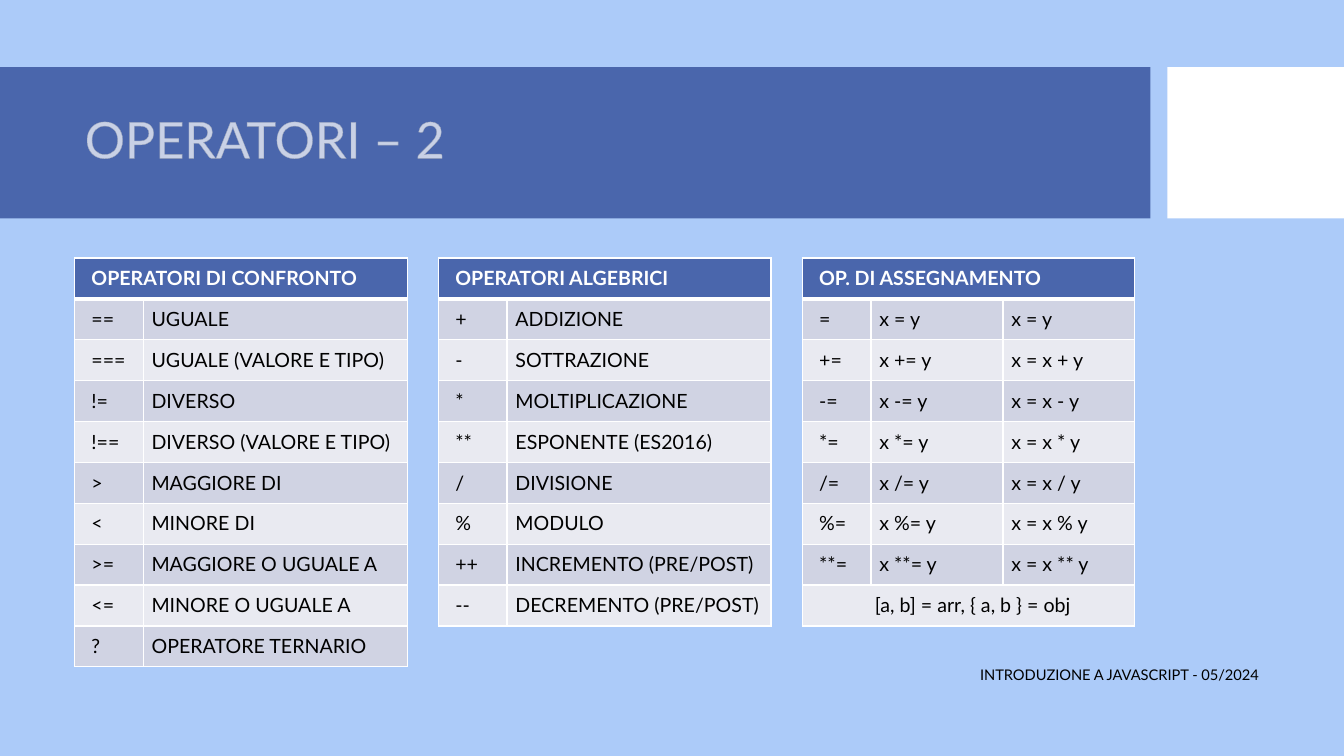
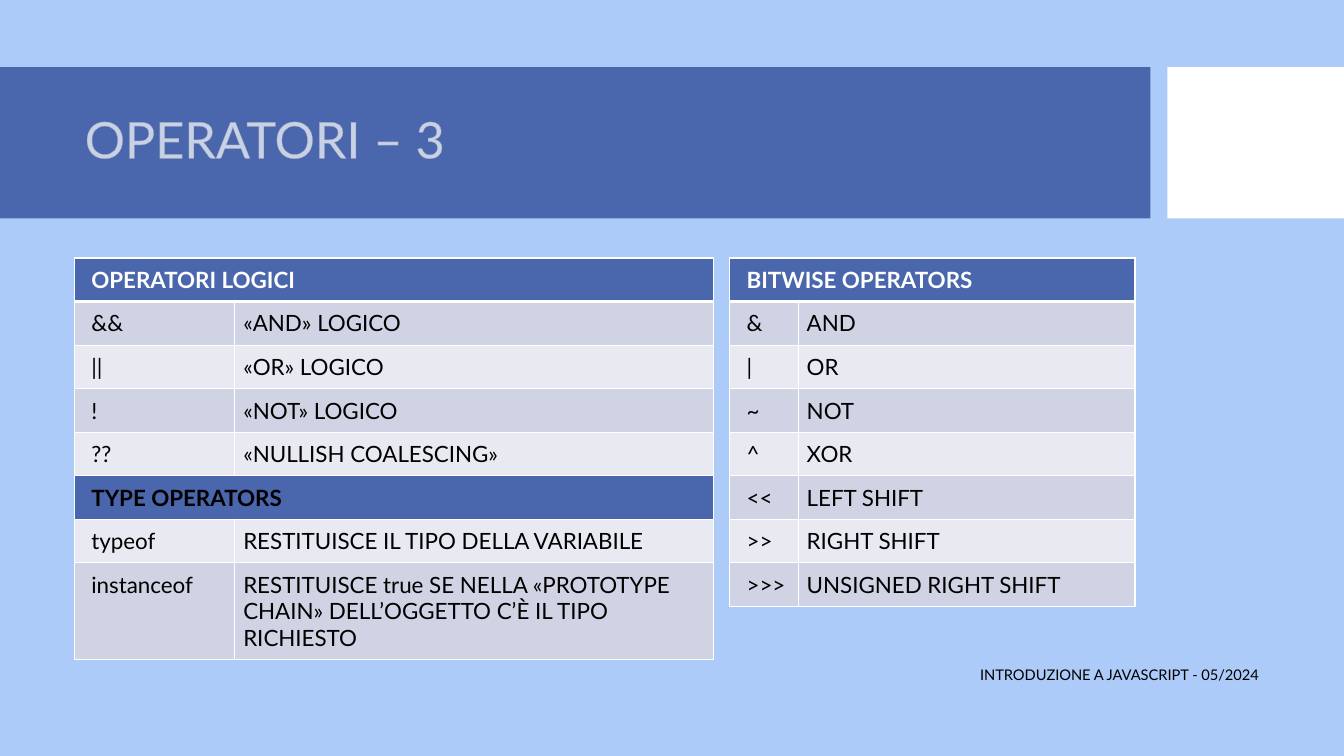
from lxml import etree
from pptx import Presentation
from pptx.dml.color import RGBColor
from pptx.enum.shapes import MSO_SHAPE
from pptx.enum.text import MSO_ANCHOR, PP_ALIGN
from pptx.oxml import parse_xml
from pptx.oxml.ns import nsdecls, qn
from pptx.util import Pt

COLORS = {
    "background": "ACCBF9",
    "band": "4A66AC",
    "dark_row": "D0D3E3",
    "light_row": "E9EAF1",
    "outline": "BFBFBF",
    "white": "FFFFFF",
    "black": "000000",
}
FONT = "Lato"
LEFT = 53.3
TABLE_TOP = 184.3
FOOTER = "INTRODUZIONE A JAVASCRIPT - 05/2024"

SLIDES = [
    {
        "title": "OPERATORI – 2",
        "size": 14,
        "row_height": 29.2,
        "tables": [
            (LEFT, [49, 188.6], [
                ("OPERATORI DI CONFRONTO",),
                ("==", "UGUALE"),
                ("===", "UGUALE (VALORE E TIPO)"),
                ("!=", "DIVERSO"),
                ("!==", "DIVERSO (VALORE E TIPO)"),
                (">", "MAGGIORE DI"),
                ("<", "MINORE DI"),
                (">=", "MAGGIORE O UGUALE A"),
                ("<=", "MINORE O UGUALE A"),
                ("?", "OPERATORE TERNARIO"),
            ]),
            (313.2, [49, 188.6], [
                ("OPERATORI ALGEBRICI",),
                ("+", "ADDIZIONE"),
                ("-", "SOTTRAZIONE"),
                ("*", "MOLTIPLICAZIONE"),
                ("**", "ESPONENTE (ES2016)"),
                ("/", "DIVISIONE"),
                ("%", "MODULO"),
                ("++", "INCREMENTO (PRE/POST)"),
                ("--", "DECREMENTO (PRE/POST)"),
            ]),
            (573.1, [49, 94.3, 94.3], [
                ("OP. DI ASSEGNAMENTO",),
                ("=", "x = y", "x = y"),
                *[(f"{op}=", f"x {op}= y", f"x = x {op} y")
                  for op in ("+", "-", "*", "/", "%", "**")],
                ("[a, b] = arr, { a, b } = obj",),
            ]),
        ],
    },
    {
        "title": "OPERATORI – 3",
        "size": 16,
        "row_height": 31.1,
        "tables": [
            (LEFT, [114.5, 342], [
                ("OPERATORI LOGICI",),
                ("&&", "«AND» LOGICO"),
                ("||", "«OR» LOGICO"),
                ("!", "«NOT» LOGICO"),
                ("??", "«NULLISH COALESCING»"),
                ("TYPE OPERATORS",),
                ("typeof", "RESTITUISCE IL TIPO DELLA VARIABILE"),
                ("instanceof", "RESTITUISCE true SE NELLA «PROTOTYPE CHAIN» "
                               "DELL’OGGETTO C’È IL TIPO RICHIESTO"),
            ]),
            (521.3, [49, 240.5], [
                ("BITWISE OPERATORS",),
                ("&", "AND"),
                ("|", "OR"),
                ("~", "NOT"),
                ("^", "XOR"),
                ("<<", "LEFT SHIFT"),
                (">>", "RIGHT SHIFT"),
                (">>>", "UNSIGNED RIGHT SHIFT"),
            ]),
        ],
    },
]


def add_run(p, text, size, color, bold=False):
    r = p.add_run()
    r.text = text
    r.font.name = FONT
    r.font.size = Pt(size)
    r.font.bold = bold
    r.font.color.rgb = RGBColor.from_string(COLORS[color])
    return r


def add_operator_table(s, left, widths, rows, size, row_height):
    table = s.shapes.add_table(len(rows), len(widths), Pt(left), Pt(TABLE_TOP),
                               Pt(sum(widths)), Pt(row_height * len(rows))).table
    for column, width in zip(table.columns, widths):
        column.width = Pt(width)
    for i, row in enumerate(rows):
        table.rows[i].height = Pt(row_height)
        heading = len(row) == 1 and row[0].isupper()
        fill = "band" if heading else "dark_row" if i % 2 else "light_row"
        for j in range(len(widths)):
            cell = table.cell(i, j)
            cell.margin_left = Pt(6 if j else 12)
            cell.margin_right = cell.margin_top = cell.margin_bottom = Pt(6)
            tc_pr = cell._tc.get_or_add_tcPr()
            for side in "LRTB":
                thick = (i, side) in ((0, "B"), (1, "T"))
                ln = etree.SubElement(tc_pr, qn(f"a:ln{side}"), w=str(Pt(3 if thick else 1)))
                line_fill = etree.SubElement(ln, qn("a:solidFill"))
                etree.SubElement(line_fill, qn("a:srgbClr"), val=COLORS["white"])
            cell.fill.solid()
            cell.fill.fore_color.rgb = RGBColor.from_string(COLORS[fill])
        if len(row) == 1:
            table.cell(i, 0).merge(table.cell(i, len(widths) - 1))
        for j, text in enumerate(row):
            p = table.cell(i, j).text_frame.paragraphs[0]
            if len(row) == 1 and not heading:
                p.alignment = PP_ALIGN.CENTER
            add_run(p, text, size, "black" if i else "white", heading)


prs = Presentation()
prs.slide_width = Pt(960)
prs.slide_height = Pt(540)
layout = prs.slide_layouts[5]
layout.background.fill.solid()
layout.background.fill.fore_color.rgb = RGBColor.from_string(COLORS["background"])

for number, content in enumerate(SLIDES):
    s = prs.slides.add_slide(layout)

    if number == 0:
        for left, width, color in ((0, 821.8, "band"), (833.8, 126.2, "white")):
            sp = s.shapes.add_shape(MSO_SHAPE.RECTANGLE, Pt(left), Pt(48), Pt(width), Pt(108))
            sp.shadow.inherit = False
            sp.fill.solid()
            sp.fill.fore_color.rgb = RGBColor.from_string(COLORS[color])
            sp.line.fill.background()
            layout.shapes._spTree.insert(2, sp._element)

    title = s.shapes.title
    title.left, title.top, title.width, title.height = Pt(LEFT), Pt(59), Pt(757), Pt(85)
    tf = title.text_frame
    tf.vertical_anchor = MSO_ANCHOR.MIDDLE
    p = tf.paragraphs[0]
    p.alignment = PP_ALIGN.LEFT
    p.line_spacing = 0.9
    r = add_run(p, content["title"], 36, "white")
    r._r.get_or_add_rPr().insert(0, parse_xml(
        f'<a:ln {nsdecls("a")} w="{Pt(0.25)}"><a:solidFill><a:srgbClr val="{COLORS["outline"]}">'
        '<a:alpha val="70000"/></a:srgbClr></a:solidFill><a:prstDash val="solid"/></a:ln>'))

    for left, widths, rows in content["tables"]:
        add_operator_table(s, left, widths, rows, content["size"], content["row_height"])

    tf = s.shapes.add_textbox(Pt(LEFT), Pt(467.3), Pt(853.2), Pt(28.8)).text_frame
    tf.word_wrap = True
    tf.vertical_anchor = MSO_ANCHOR.MIDDLE
    p = tf.paragraphs[0]
    p.alignment = PP_ALIGN.RIGHT
    add_run(p, FOOTER, 10.5, "black")

prs.save("out.pptx")
